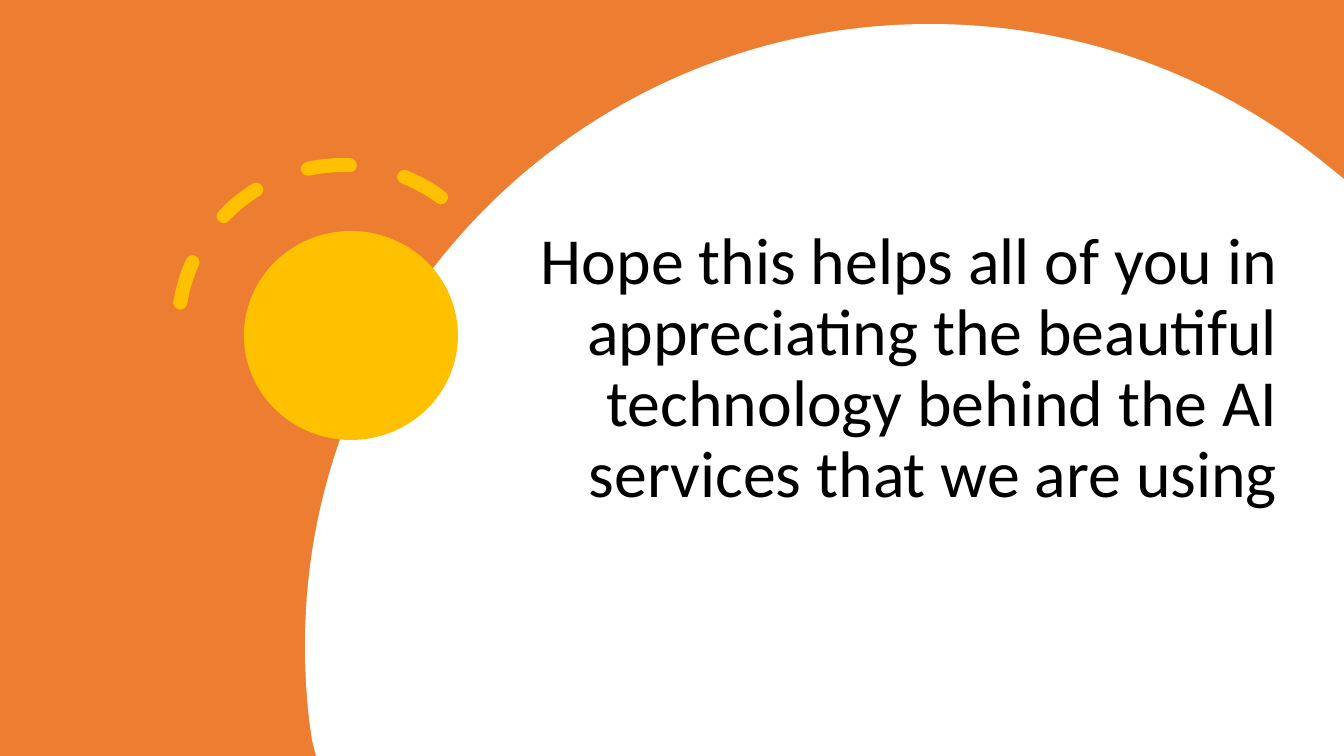
from dataclasses import dataclass

import lxml.etree
import pptx
import pptx.dml.color
import pptx.enum.dml
import pptx.enum.shapes
import pptx.enum.text
import pptx.oxml.ns
import pptx.shapes.autoshape
import pptx.slide
import pptx.util

RGBColor = pptx.dml.color.RGBColor
MSO_SHAPE = pptx.enum.shapes.MSO_SHAPE
qn = pptx.oxml.ns.qn

ORANGE = RGBColor(0xED, 0x7D, 0x31)
WHITE = RGBColor(0xFF, 0xFF, 0xFF)
GOLD = RGBColor(0xFF, 0xC0, 0x00)
BLACK = RGBColor(0x00, 0x00, 0x00)

EMU_PER_PX = 914400 / 100.8
SLIDE_W, SLIDE_H = 1344, 756

Point = tuple[int, int]


@dataclass(frozen=True)
class Box:
    left: int
    top: int
    width: int
    height: int

    def emu(self) -> tuple[int, ...]:
        return tuple(map(px, (self.left, self.top, self.width, self.height)))


@dataclass(frozen=True)
class Segment:
    """A line to end, or a cubic curve when it has two control points."""
    end: Point
    controls: tuple[Point, ...] = ()


CIRCLE_START = (930, 24)
CIRCLE_OUTLINE = (
    Segment((1328, 166), ((1081, 24), (1219, 77))),
    Segment((SLIDE_W, 179)),
    Segment((SLIDE_W, SLIDE_H)),
    Segment((316, SLIDE_H)),
    Segment((312, 740)),
    Segment((305, 645), ((307, 709), (305, 677))),
    Segment(CIRCLE_START, ((305, 302), (585, 24))),
)


def px(value: float) -> int:
    return round(value * EMU_PER_PX)


def paint(sp: pptx.shapes.autoshape.Shape, color: RGBColor) -> None:
    sp.shadow.inherit = False
    sp.fill.solid()
    sp.fill.fore_color.rgb = color
    sp.line.fill.background()


def add_filled(s: pptx.slide.Slide, kind: MSO_SHAPE, box: Box, color: RGBColor) -> None:
    paint(s.shapes.add_shape(kind, *box.emu()), color)


def add_outline(s: pptx.slide.Slide, start: Point, segments: tuple[Segment, ...],
                color: RGBColor) -> None:
    """Build the outline with lines, then turn the curved segments into Béziers."""
    ends = [segment.end for segment in segments]
    builder = s.shapes.build_freeform(*start, scale=EMU_PER_PX)
    builder.add_line_segments(ends, close=True)
    sp = builder.convert_to_shape()
    paint(sp, color)
    left = min(x for x, _ in ends)
    top = min(y for _, y in ends)
    lines = list(sp._element.iter(qn("a:lnTo")))
    for segment, line in zip(segments, lines):
        if segment.controls:
            line.tag = qn("a:cubicBezTo")
            for i, (x, y) in enumerate(segment.controls):
                pt = lxml.etree.Element(qn("a:pt"), x=str(x - left), y=str(y - top))
                line.insert(i, pt)


def add_dashed_arc(s: pptx.slide.Slide, box: Box, rotation: float,
                   adjustments: tuple[float, float], color: RGBColor, width: int) -> None:
    sp = s.shapes.add_shape(MSO_SHAPE.ARC, *box.emu())
    sp.shadow.inherit = False
    sp.rotation = rotation
    for i, value in enumerate(adjustments):
        sp.adjustments[i] = value
    sp.fill.background()
    sp.line.color.rgb = color
    sp.line.width = pptx.util.Pt(width)
    sp.line.dash_style = pptx.enum.dml.MSO_LINE.DASH
    sp._element.spPr.find(qn("a:ln")).set("cap", "rnd")


def add_text(s: pptx.slide.Slide, text: str, box: Box, *, size: int, font: str,
             color: RGBColor, align: pptx.enum.text.PP_ALIGN,
             anchor: pptx.enum.text.MSO_ANCHOR, line_spacing: float) -> None:
    tf = s.shapes.add_textbox(*box.emu()).text_frame
    tf.word_wrap = True
    tf.vertical_anchor = anchor
    p = tf.paragraphs[0]
    p.alignment = align
    p.line_spacing = line_spacing
    r = p.add_run()
    r.text = text
    r.font.size = pptx.util.Pt(size)
    r.font.name = font
    r.font.color.rgb = color


def main() -> None:
    prs = pptx.Presentation()
    prs.slide_width, prs.slide_height = px(SLIDE_W), px(SLIDE_H)
    s = prs.slides.add_slide(prs.slide_layouts[6])

    add_filled(s, MSO_SHAPE.RECTANGLE, Box(0, 0, SLIDE_W, SLIDE_H), ORANGE)
    add_outline(s, CIRCLE_START, CIRCLE_OUTLINE, WHITE)
    add_filled(s, MSO_SHAPE.OVAL, Box(244, 231, 214, 209), GOLD)
    add_dashed_arc(s, Box(178, 165, 330, 330), 308.7, (144.56, 2.28), GOLD, 10)
    add_text(
        s,
        "Hope this helps all of you in appreciating the beautiful technology "
        "behind the AI services that we are using",
        Box(445, 214, 843, 303),
        size=47, font="Calibri", color=BLACK,
        align=pptx.enum.text.PP_ALIGN.RIGHT,
        anchor=pptx.enum.text.MSO_ANCHOR.BOTTOM,
        line_spacing=0.9,
    )
    prs.save("out.pptx")


if __name__ == "__main__":
    main()
